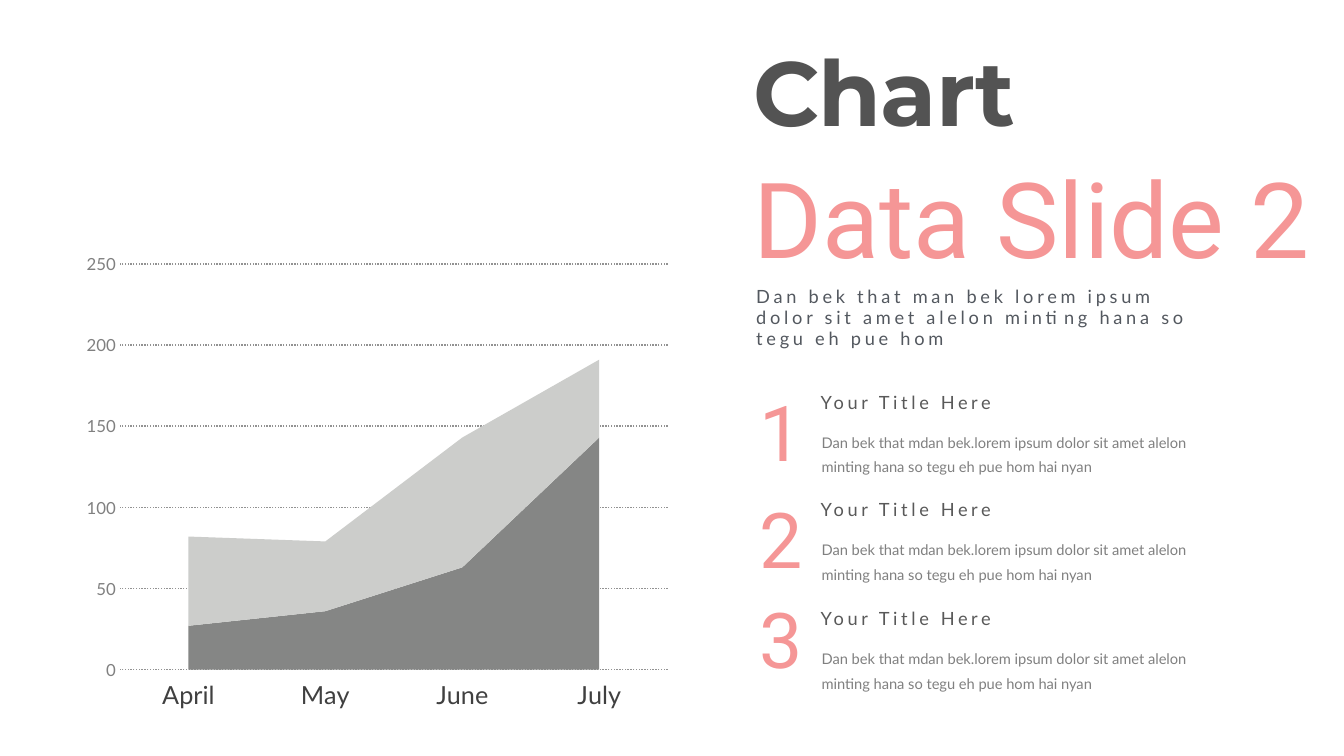
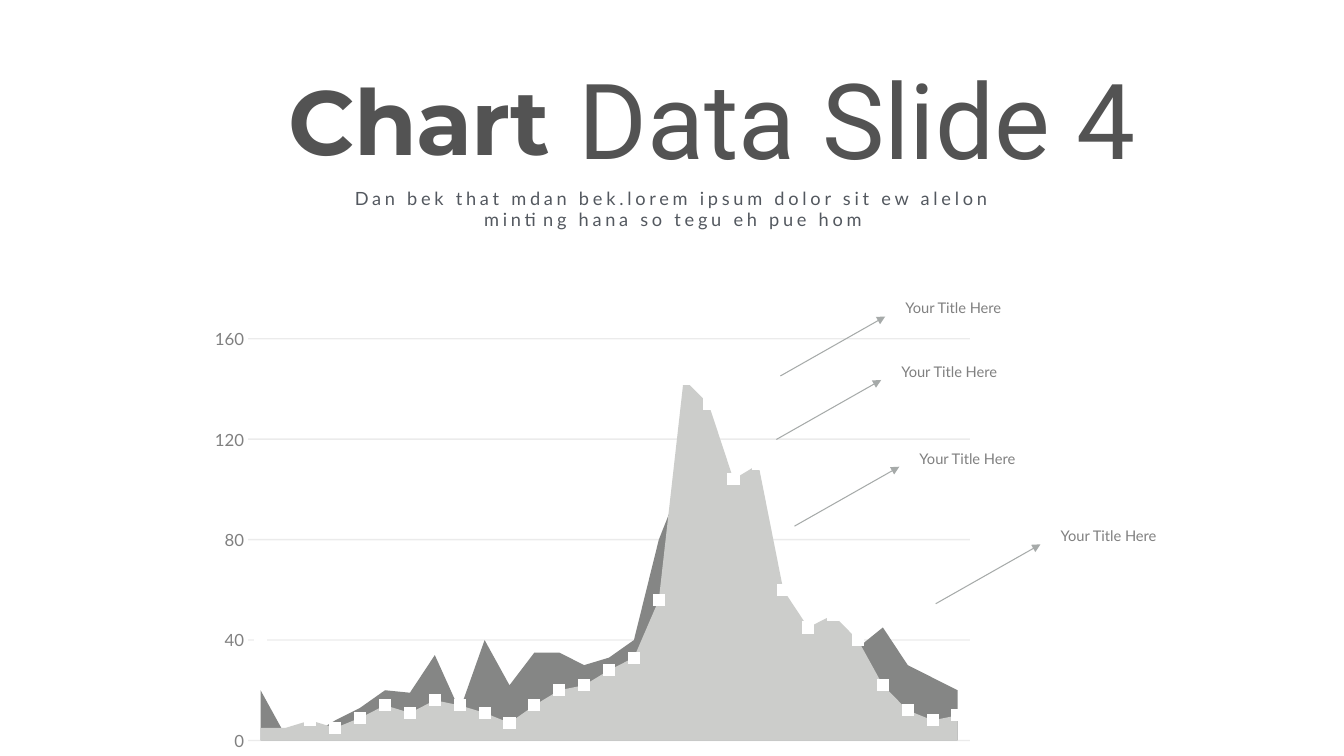
"""Build two chart slides: a stacked area chart and an area chart with markers."""
from copy import deepcopy

from lxml.etree import SubElement
from pptx import Presentation
from pptx.chart.data import CategoryChartData
from pptx.dml.color import RGBColor
from pptx.enum.chart import XL_CHART_TYPE as CT, XL_MARKER_STYLE as MARKER
from pptx.enum.chart import XL_TICK_LABEL_POSITION as LABELS, XL_TICK_MARK as TICK
from pptx.enum.dml import MSO_LINE
from pptx.enum.shapes import MSO_CONNECTOR
from pptx.enum.text import MSO_AUTO_SIZE, PP_ALIGN
from pptx.oxml import parse_xml
from pptx.oxml.ns import nsdecls, qn
from pptx.util import Inches, Pt

rgb = RGBColor.from_string
PINK, DARK, GREY = "F59696", "535353", "808080"
LIGHT_AREA, DARK_AREA = "CCCDCB", "858685"
TITLE = dict(size=65, font="Montserrat", color=DARK, bold=True, spc=-0.7)
SUBTITLE = dict(size=75, font="Roboto")
INTRO = dict(size=13, font="Lato", color="53585F", spc=2.7, spacing=Pt(15))
HEADING = dict(size=13, font="Lato", color="595959", spc=2.6)
NUMBER = dict(size=55, font="Roboto", color=PINK)
BODY = dict(size=10.5, font="Lato", color=GREY, spacing=1.4)


def add_text(s, at, text, size, font, color, bold=False, spc=0, spacing=None, align=PP_ALIGN.LEFT):
    tf = s.shapes.add_textbox(*map(Inches, at)).text_frame
    tf.word_wrap = True
    tf.auto_size = MSO_AUTO_SIZE.SHAPE_TO_FIT_TEXT
    tf.margin_left = tf.margin_right = tf.margin_top = tf.margin_bottom = Inches(0.03)
    p = tf.paragraphs[0]
    p.text = text
    p.alignment = align
    p.line_spacing = spacing
    p.font.size, p.font.name, p.font.bold = Pt(size), font, bold
    p.font.color.rgb = rgb(color)
    if spc:
        p._p.pPr.find(qn("a:defRPr")).set("spc", str(round(spc * 100)))


def add_area_chart(s, kind, at, cats, series, colors, layout, top, step, grid):
    data = CategoryChartData()
    data.categories = cats
    for i, values in enumerate(series, 1):
        data.add_series(f"Series {i}", values)
    chart = s.shapes.add_chart(kind, *map(Inches, at), data).chart
    chart.has_legend = chart.has_title = False
    chart.font.size, chart.font.name = Pt(10), "Calibri"
    chart.plots[0].vary_by_categories = False
    for ser, color in zip(chart.plots[0].series, colors):
        ser.format.fill.solid()
        ser.format.fill.fore_color.rgb = rgb(color)
        ser.format.line.fill.background()
    for axis in (chart.category_axis, chart.value_axis):
        axis.major_tick_mark = axis.minor_tick_mark = TICK.NONE
        axis.format.line.fill.background()
    chart.category_axis.has_major_gridlines = False
    value = chart.value_axis
    value.minimum_scale, value.maximum_scale, value.major_unit = 0, top, step
    value.tick_labels.font.size, value.tick_labels.font.name = Pt(12), "Lato"
    value.tick_labels.font.color.rgb = rgb(GREY)
    value.has_major_gridlines = True
    line = value.major_gridlines.format.line
    line.width = Pt(1)
    line.color.rgb = rgb(grid)
    plot_area = chart._chartSpace.find(".//" + qn("c:plotArea"))
    plot_area.find(".//" + qn("c:crossBetween")).set("val", "between")
    for old in plot_area.findall(qn("c:layout")):
        plot_area.remove(old)
    box = "".join(f'<c:{tag} val="{v}"/>' for tag, v in zip("xywh", layout))
    plot_area.insert(0, parse_xml(
        f'<c:layout {nsdecls("c")}><c:manualLayout><c:layoutTarget val="inner"/>'
        f'<c:xMode val="edge"/><c:yMode val="edge"/>{box}</c:manualLayout></c:layout>'))
    return chart


prs = Presentation()
prs.slide_width, prs.slide_height = Inches(13.33), Inches(7.5)
blank = prs.slide_layouts[6]

s = prs.slides.add_slide(blank)
chart = add_area_chart(
    s, CT.AREA_STACKED, (0.86, 2.52, 5.77, 4.52), ["April", "May", "June", "July"],
    [(27, 36, 63, 143), (55, 43, 80, 48)], (DARK_AREA, LIGHT_AREA),
    (0.057, 0.021, 0.942, 0.9), 250, 50, "929292")
chart.value_axis.major_gridlines.format.line.dash_style = MSO_LINE.ROUND_DOT
labels = chart.category_axis.tick_labels
chart.category_axis.tick_label_position = LABELS.LOW
labels.font.size, labels.font.name = Pt(18), "Lato"
labels.font.color.rgb = rgb("404040")

add_text(s, (7.44, 0.32, 3.9, 1.15), "Chart", **TITLE)
add_text(s, (7.44, 1.49, 5.9, 1.32), "Data Slide 2", color=PINK, **SUBTITLE)
add_text(s, (7.47, 2.81, 4.41, 0.69),
         "Dan bek that man bek lorem ipsum dolor sit amet alelon minting hana so tegu eh pue hom",
         **INTRO)
rows = [(3.78, 3.85, 4.2), (4.85, 4.91, 5.27), (5.84, 6, 6.35)]
for i, (number_y, heading_y, body_y) in enumerate(rows, 1):
    add_text(s, (7.5, number_y, 0.54, 0.98), str(i), **NUMBER)
    add_text(s, (8.11, heading_y, 2.03, 0.27), "Your Title Here", **HEADING)
    add_text(s, (8.12, body_y, 3.84, 0.52),
             "Dan bek that mdan bek.lorem ipsum dolor sit amet alelon "
             "minting hana so tegu eh pue hom hai nyan", **BODY)

s = prs.slides.add_slide(blank)
front = [5, 5, 8, 5, 9, 14, 11, 16, 14, 11, 7, 14, 20, 22, 28, 33, 56, 144, 134, 104,
         110, 60, 45, 50, 40, 22, 12, 8, 10]
back = [20, 2, 2, 8, 13, 20, 19, 34, 12, 40, 22, 35, 35, 30, 33, 40, 80, 105, 80, 70,
        40, 30, 35, 39, 37, 45, 30, 25, 20]
chart = add_area_chart(
    s, CT.AREA, (2.01, 3.26, 7.65, 4.24), [str(n) for n in range(1, 30)],
    [front, back, [40, 30] + front[2:], [10] + back[1:]], (LIGHT_AREA, DARK_AREA),
    (0.059, 0.024, 0.936, 0.94), 160, 40, "D9D9D9")
chart.category_axis.tick_label_position = LABELS.NONE
chart.value_axis.tick_labels.number_format = "0"
chart.value_axis.tick_labels.number_format_is_linked = False
grid = chart.value_axis._element.find(qn("c:majorGridlines"))
SubElement(grid.find(".//" + qn("a:srgbClr")), qn("a:alpha")).set("val", "50000")

area = chart._chartSpace.find(".//" + qn("c:areaChart"))
lines = parse_xml(f'<c:lineChart {nsdecls("c")}><c:grouping val="standard"/>'
                  '<c:varyColors val="0"/></c:lineChart>')
for ser in area.findall(qn("c:ser"))[2:]:
    lines.append(ser)
SubElement(lines, qn("c:marker")).set("val", "1")
for axis_id in area.findall(qn("c:axId")):
    lines.append(deepcopy(axis_id))
area.addnext(lines)
marked, hidden = chart.plots[1].series
for ser in (marked, hidden):
    ser.smooth = False
    ser.format.line.fill.background()
hidden.marker.style = MARKER.NONE
marked.marker.style, marked.marker.size = MARKER.SQUARE, 8
marked.marker.format.fill.solid()
marked.marker.format.fill.fore_color.rgb = rgb("FFFFFF")
marked.marker.format.line.fill.background()

for x, y in [(7.74, 3.73), (7.7, 4.36), (7.88, 5.22), (9.28, 5.99)]:
    add_text(s, (x + 1.21, y - 0.86, 2.14, 0.3), "Your Title Here", **BODY)
    arrow = s.shapes.add_connector(
        MSO_CONNECTOR.STRAIGHT, Inches(x), Inches(y), Inches(x + 1.04), Inches(y - 0.59))
    arrow.line.width = Pt(0.75)
    arrow.line.color.rgb = rgb("A6AAA9")
    SubElement(arrow.line._get_or_add_ln(), qn("a:tailEnd")).set("type", "triangle")
    SubElement(arrow._element.spPr, qn("a:effectLst"))

add_text(s, (5.71, 0.51, 5.92, 1.32), "Data Slide 4", color=DARK, **SUBTITLE)
add_text(s, (2.83, 0.61, 3.22, 1.15), "Chart", **TITLE)
add_text(s, (3.25, 1.84, 6.85, 0.48),
         "Dan bek that mdan bek.lorem ipsum dolor sit ew alelon minting hana so tegu eh pue hom",
         align=PP_ALIGN.CENTER, **INTRO)

prs.save("out.pptx")
